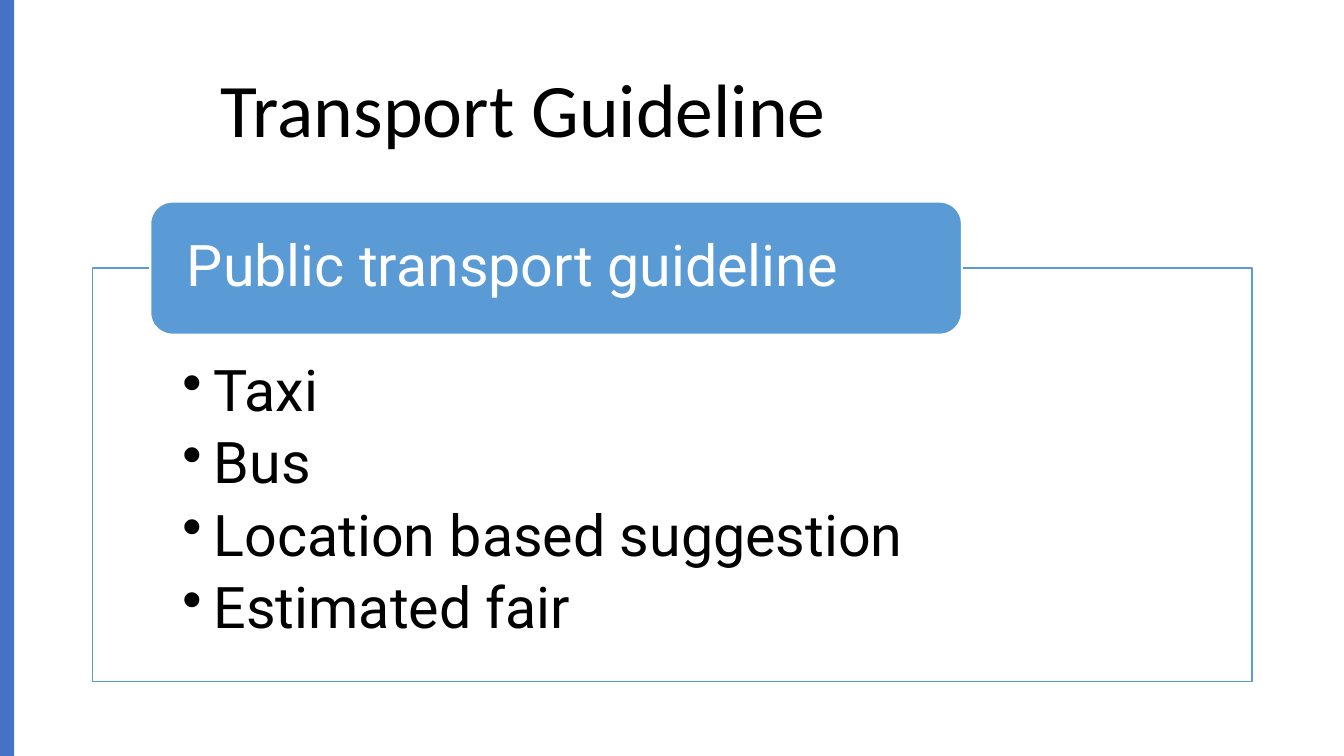
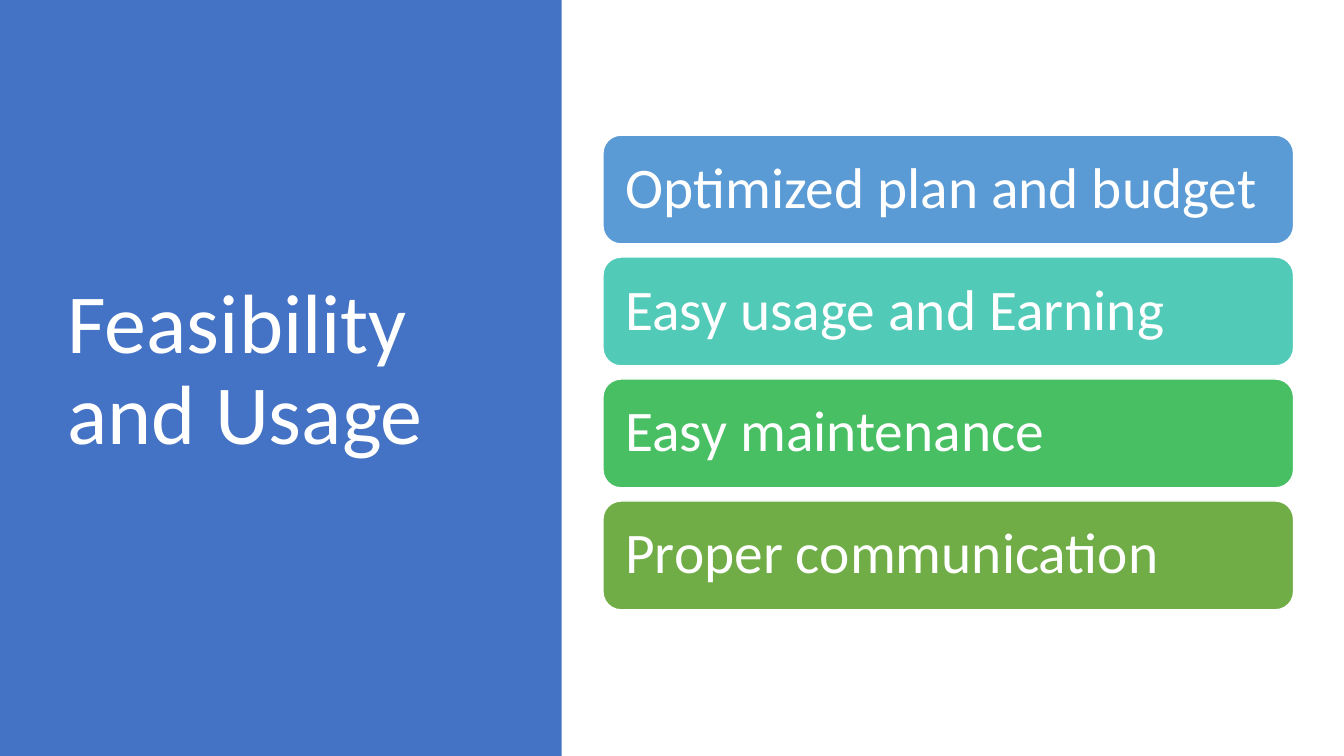
import pptx
import pptx.util
import pptx.dml.color
import pptx.enum.text
import pptx.enum.shapes
import pptx.oxml.ns
import lxml.etree

Inches = pptx.util.Inches
Pt = pptx.util.Pt
Shape = pptx.enum.shapes.MSO_SHAPE
Anchor = pptx.enum.text.MSO_ANCHOR


def color(code):
    return pptx.dml.color.RGBColor.from_string(code)


class Deck:
    band = "4472C4"
    blue = "5B9BD5"
    white = "FFFFFF"
    black = "000000"
    body = 41
    wide, high = 13.33, 7.5

    def __init__(self):
        self.file = pptx.Presentation()
        self.file.slide_width = Inches(self.wide)
        self.file.slide_height = Inches(self.high)

    def start(self, width):
        self.slide = self.file.slides.add_slide(self.file.slide_layouts[5])
        self.box(Shape.RECTANGLE, (0, 0, width, self.high), self.band)

    def title(self, text, place, size, ink):
        title = self.slide.shapes.title
        title.left, title.top, title.width, title.height = map(Inches, place)
        title.element.getparent().append(title.element)
        self.words(title, [text], size, ink, "Calibri", (0.1, 0.05, 0.1, 0.05))

    def box(self, kind, place, fill, line=None, weight=1):
        shape = self.slide.shapes.add_shape(kind, *map(Inches, place))
        shape.shadow.inherit = False
        shape.fill.solid()
        shape.fill.fore_color.rgb = color(fill)
        if line:
            shape.line.color.rgb = color(line)
            shape.line.width = Pt(weight)
        else:
            shape.line.fill.background()
        return shape

    def words(self, shape, lines, size, ink, font, inset, anchor=Anchor.MIDDLE, after=0):
        frame = shape.text_frame
        frame.word_wrap = True
        frame.auto_size = pptx.enum.text.MSO_AUTO_SIZE.NONE
        frame.vertical_anchor = anchor
        (frame.margin_left, frame.margin_top,
         frame.margin_right, frame.margin_bottom) = map(Inches, inset)
        for i, line in enumerate(lines):
            para = frame.add_paragraph() if i else frame.paragraphs[0]
            para.alignment = pptx.enum.text.PP_ALIGN.LEFT
            para.line_spacing = 0.9
            para.space_after = Pt(after)
            run = para.add_run()
            run.text = line
            run.font.size = Pt(size)
            run.font.name = font
            run.font.color.rgb = color(ink)
        return frame

    def label(self, text, place, fill, font, inset, weight=1):
        shape = self.box(Shape.ROUNDED_RECTANGLE, place, fill, self.white, weight)
        self.words(shape, [text], self.body, self.white, font, inset)

    def panel(self, lines, place):
        shape = self.box(Shape.RECTANGLE, place, self.white, self.blue)
        frame = self.words(shape, lines, self.body, self.black, "Roboto",
                           (0.89, 0.93, 0.89, 0.32), Anchor.TOP, 7.4)
        for para in frame.paragraphs:
            props = para._p.get_or_add_pPr()
            props.set("marL", str(Inches(0.31)))
            props.set("indent", str(-Inches(0.31)))
            mark = lxml.etree.SubElement(props, pptx.oxml.ns.qn("a:buChar"))
            mark.set("char", "•")


deck = Deck()

deck.start(0.14)
deck.title("Transport Guideline", (2.09, 0.4, 10.32, 1.45), 54, deck.black)
deck.panel(["Taxi", "Bus", "Location based suggestion", "Estimated fair"],
           (0.92, 2.66, 11.5, 4.1))
deck.label("Public transport guideline", (1.49, 2, 8.05, 1.32), deck.blue,
           "Roboto", (0.3, 0, 0.3, 0), 1.5)

deck.start(5.57)
deck.title("Feasibility and Usage", (0.57, 0.68, 4.16, 6.02), 60, deck.white)
uses = [
    ("Optimized plan and budget", deck.blue),
    ("Easy usage and Earning", "52CAB8"),
    ("Easy maintenance", "49BF64"),
    ("Proper communication", "70AD47"),
]
for row, (text, fill) in enumerate(uses):
    deck.label(text, (5.98, 1.34 + 1.21 * row, 6.85, 1.08), fill,
               "Calibri", (0.17,) * 4)

deck.file.save("out.pptx")
